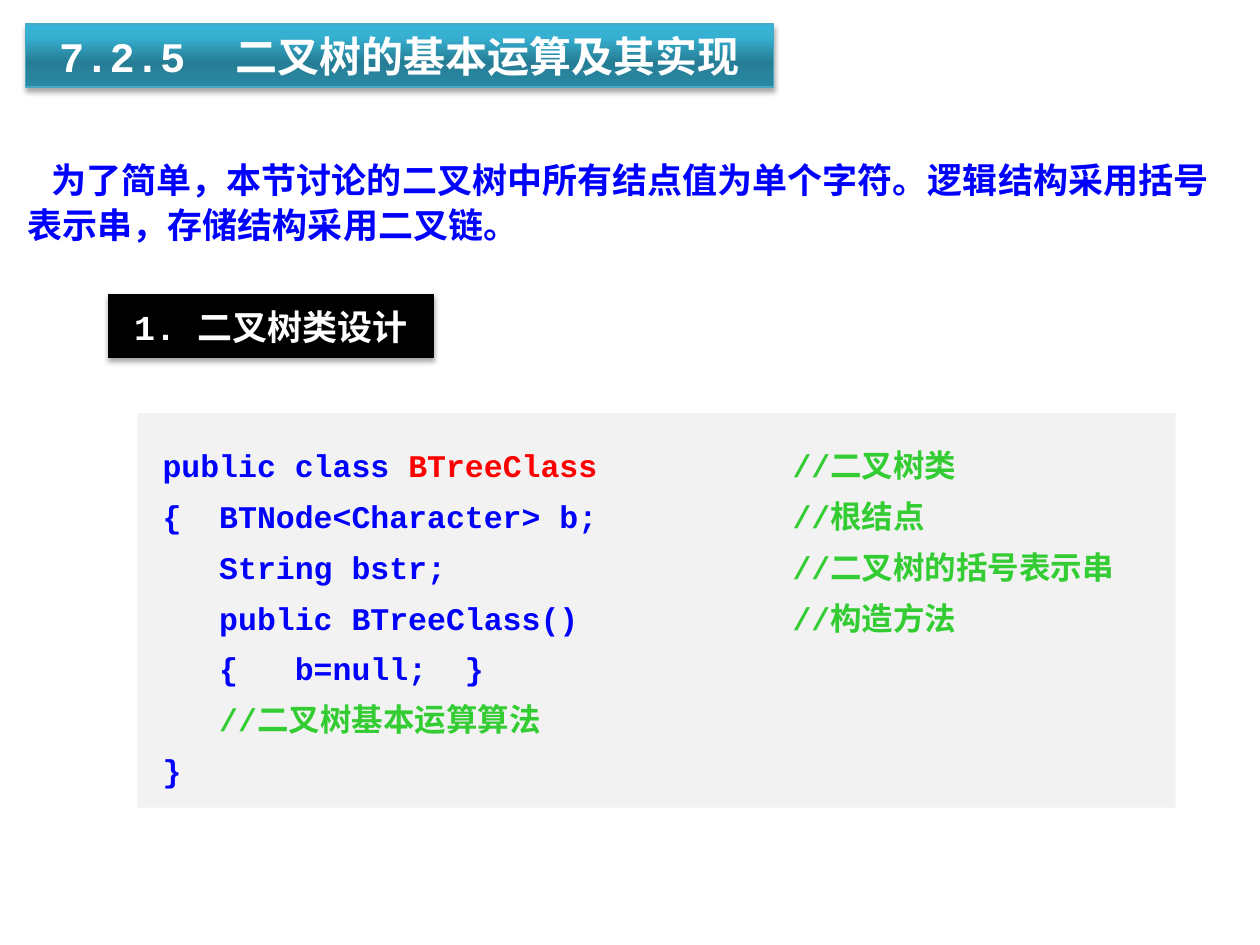
from dataclasses import dataclass

from lxml.etree import SubElement
from pptx import Presentation
from pptx.dml.color import RGBColor
from pptx.enum.shapes import MSO_SHAPE as Preset
from pptx.enum.text import MSO_ANCHOR as Anchor, MSO_AUTO_SIZE as AutoSize, PP_ALIGN as Align
from pptx.oxml import parse_xml
from pptx.oxml.ns import nsdecls, qn
from pptx.shapes.autoshape import Shape
from pptx.slide import Slide
from pptx.text.text import TextFrame, _Paragraph as Paragraph
from pptx.util import Inches, Pt

FONT = "Courier New"
COLORS = {
    "white": "FFFFFF", "black": "000000", "panel": "F2F2F2", "title_line": "46AAC5",
    "code": "0000FF", "name": "FF0000", "comment": "33CC33",
}
TITLE_STOPS = ((0, "2A88A2"), (40, "267E96"), (80, "37B1D2"), (100, "34B4D6"))
BODY_TAB, INNER_TAB, CLOSE_TAB, COMMENT_TAB = 0.45, 1.05, 2.4, 5.0


@dataclass(frozen=True)
class Box:
    left: float
    top: float
    width: float
    height: float


@dataclass(frozen=True)
class CodeLine:
    """Runs are (text, colour name) pairs; tabs are in inches."""
    runs: tuple[tuple[str, str], ...]
    tabs: tuple[float, ...] = ()


CODE = (
    CodeLine((("public class ", "code"), ("BTreeClass\t", "name"), ("//二叉树类", "comment")),
             (COMMENT_TAB,)),
    CodeLine((("{\tBTNode<Character> b;\t", "code"), ("//根结点", "comment")),
             (BODY_TAB, COMMENT_TAB)),
    CodeLine((("\tString bstr;\t", "code"), ("//二叉树的括号表示串", "comment")),
             (BODY_TAB, COMMENT_TAB)),
    CodeLine((("\tpublic BTreeClass()\t", "code"), ("//构造方法", "comment")),
             (BODY_TAB, COMMENT_TAB)),
    CodeLine((("\t{\tb=null;\t}", "code"),), (BODY_TAB, INNER_TAB, CLOSE_TAB)),
    CodeLine((("\t//二叉树基本运算算法", "comment"),), (BODY_TAB,)),
    CodeLine((("}", "code"),)),
)


def color(name: str) -> RGBColor:
    return RGBColor.from_string(COLORS[name])


def place(shape: Shape, box: Box) -> None:
    shape.left, shape.top = Inches(box.left), Inches(box.top)
    shape.width, shape.height = Inches(box.width), Inches(box.height)


def add_rectangle(slide: Slide, box: Box, fill: str) -> Shape:
    shape = slide.shapes.add_shape(Preset.RECTANGLE, 0, 0, 0, 0)
    place(shape, box)
    shape.shadow.inherit = False
    shape.fill.solid()
    shape.fill.fore_color.rgb = color(fill)
    shape.line.fill.background()
    return shape


def set_outline(shape: Shape, name: str) -> None:
    shape.line.color.rgb = color(name)
    shape.line.width = Pt(0.75)


def set_title_gradient(shape: Shape) -> None:
    """Fill from bottom to top with the four title stops."""
    shape.fill.gradient()
    shape.fill.gradient_angle = 90
    stop_list = shape._element.spPr.find(qn("a:gradFill")).find(qn("a:gsLst"))
    stop_list.clear()
    for percent, value in TITLE_STOPS:
        stop = SubElement(stop_list, qn("a:gs"), pos=str(percent * 1000))
        SubElement(stop, qn("a:srgbClr"), val=value)


def add_soft_shadow(shape: Shape) -> None:
    shape.shadow.inherit = False
    effects = shape._element.spPr.find(qn("a:effectLst"))
    effects.append(parse_xml(
        f'<a:outerShdw {nsdecls("a")} blurRad="{Pt(3.1)}" dist="{Pt(1.8)}" dir="5400000" '
        f'rotWithShape="0"><a:srgbClr val="{COLORS["black"]}"><a:alpha val="35000"/>'
        '</a:srgbClr></a:outerShdw>'))


def set_frame(frame: TextFrame, left: float = 0.1, vertical: float = 0.05,
              anchor: Anchor = Anchor.TOP) -> None:
    frame.word_wrap = True
    frame.auto_size = AutoSize.NONE
    frame.vertical_anchor = anchor
    frame.margin_left, frame.margin_right = Inches(left), Inches(0.1)
    frame.margin_top = frame.margin_bottom = Inches(vertical)


def write(paragraph: Paragraph, runs: tuple[tuple[str, str], ...], size: float,
          align: Align = Align.LEFT) -> None:
    paragraph.alignment = align
    font = paragraph.font
    font.name, font.size, font.bold = FONT, Pt(size), True
    for text, name in runs:
        run = paragraph.add_run()
        run.text = text
        run.font.color.rgb = color(name)


def set_tabs(paragraph: Paragraph, tabs: tuple[float, ...]) -> None:
    properties = paragraph._p.get_or_add_pPr()
    tab_list = parse_xml(f'<a:tabLst {nsdecls("a")}/>')
    for position in tabs:
        SubElement(tab_list, qn("a:tab"), pos=str(Inches(position)), algn="l")
    properties.find(qn("a:defRPr")).addprevious(tab_list)


def draw_title(slide: Slide) -> None:
    title = slide.shapes.title
    place(title, Box(0.2, 0.19, 5.94, 0.5))
    set_title_gradient(title)
    set_outline(title, "title_line")
    add_soft_shadow(title)
    set_frame(title.text_frame, anchor=Anchor.MIDDLE)
    write(title.text_frame.paragraphs[0], (("7.2.5  二叉树的基本运算及其实现", "white"),),
          24, Align.CENTER)


def draw_introduction(slide: Slide) -> None:
    text_box = slide.shapes.add_textbox(0, 0, 0, 0)
    place(text_box, Box(0.12, 1.18, 9.69, 0.83))
    set_frame(text_box.text_frame)
    paragraph = text_box.text_frame.paragraphs[0]
    text = ("为了简单，本节讨论的二叉树中所有结点值为单个字符。"
            "逻辑结构采用括号表示串，存储结构采用二叉链。")
    write(paragraph, ((text, "code"),), 20)
    paragraph.line_spacing = Pt(26)
    paragraph._p.get_or_add_pPr().set("indent", str(Inches(0.19)))


def draw_heading(slide: Slide) -> None:
    heading = add_rectangle(slide, Box(0.86, 2.34, 2.58, 0.5), "black")
    set_outline(heading, "black")
    add_soft_shadow(heading)
    set_frame(heading.text_frame, vertical=0.08, anchor=Anchor.MIDDLE)
    write(heading.text_frame.paragraphs[0], (("1. 二叉树类设计", "white"),), 20, Align.CENTER)


def draw_code(slide: Slide) -> None:
    panel = add_rectangle(slide, Box(1.09, 3.28, 8.24, 3.13), "panel")
    frame = panel.text_frame
    set_frame(frame, left=0.2, vertical=0.16)
    for index, line in enumerate(CODE):
        paragraph = frame.add_paragraph() if index else frame.paragraphs[0]
        write(paragraph, line.runs, 18)
        paragraph.line_spacing = Pt(29)
        if line.tabs:
            set_tabs(paragraph, line.tabs)


def main() -> None:
    presentation = Presentation()
    presentation.slide_width, presentation.slide_height = Inches(10), Inches(7.5)
    slide = presentation.slides.add_slide(presentation.slide_layouts[5])
    draw_title(slide)
    draw_introduction(slide)
    draw_heading(slide)
    draw_code(slide)
    presentation.save("out.pptx")


if __name__ == "__main__":
    main()
